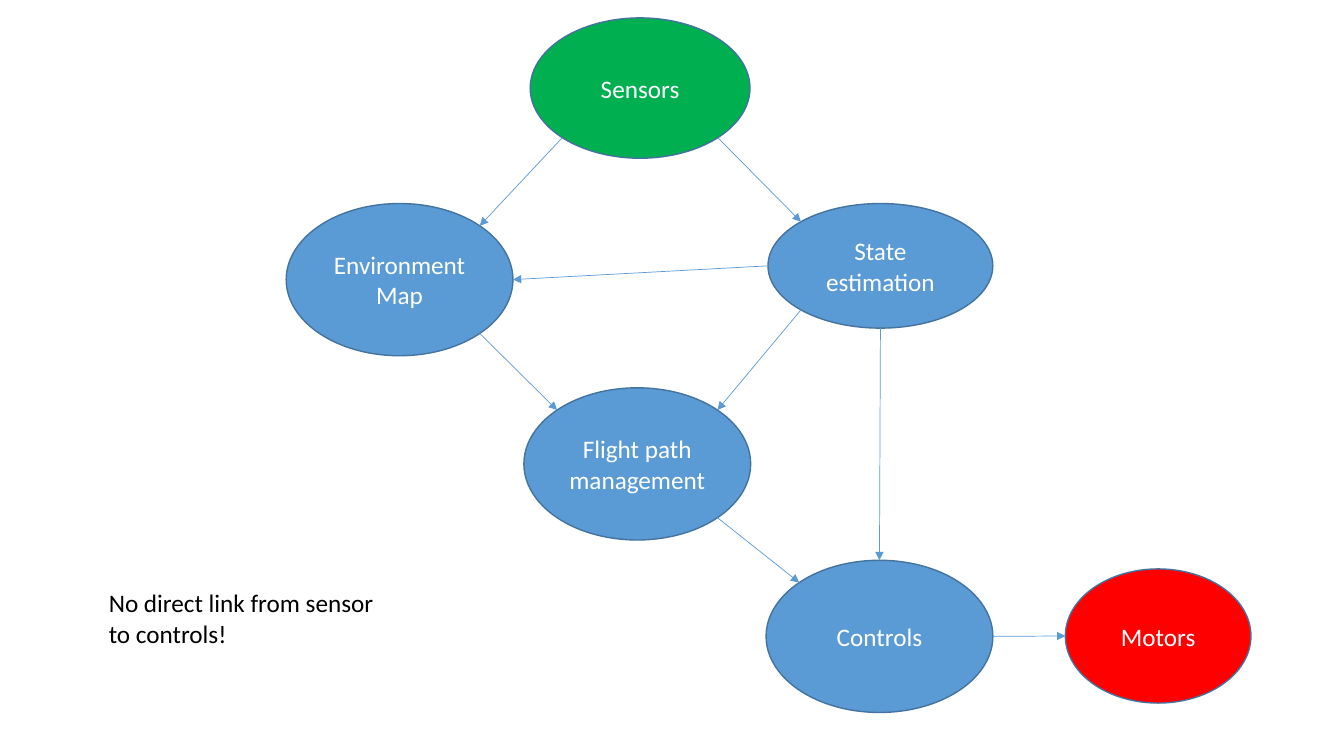
from dataclasses import dataclass
from enum import IntEnum
from math import sqrt

from lxml import etree
from pptx import Presentation
from pptx.dml.color import RGBColor
from pptx.enum.shapes import MSO_CONNECTOR, MSO_SHAPE
from pptx.enum.text import MSO_ANCHOR, PP_ALIGN
from pptx.oxml.ns import qn
from pptx.util import Pt

ELLIPSE = MSO_SHAPE.OVAL
STRAIGHT = MSO_CONNECTOR.STRAIGHT
MIDDLE = MSO_ANCHOR.MIDDLE
CENTER = PP_ALIGN.CENTER

BLUE = RGBColor(0x5B, 0x9B, 0xD5)
DARK_BLUE = RGBColor(0x43, 0x73, 0x9E)
GREEN = RGBColor(0x00, 0xB0, 0x50)
RED = RGBColor(0xFF, 0x00, 0x00)
WHITE = RGBColor(0xFF, 0xFF, 0xFF)
BLACK = RGBColor(0x00, 0x00, 0x00)

FONT = "Calibri"
TEXT_SIZE = 18
DIAGONAL = sqrt(0.5)


class Site(IntEnum):
    """Connection sites of an ellipse, counter-clockwise from the top."""
    TOP = 0
    TOP_LEFT = 1
    LEFT = 2
    BOTTOM_LEFT = 3
    BOTTOM = 4
    BOTTOM_RIGHT = 5
    RIGHT = 6
    TOP_RIGHT = 7


DIRECTIONS = {
    Site.TOP: (0, -1),
    Site.TOP_LEFT: (-DIAGONAL, -DIAGONAL),
    Site.LEFT: (-1, 0),
    Site.BOTTOM_LEFT: (-DIAGONAL, DIAGONAL),
    Site.BOTTOM: (0, 1),
    Site.BOTTOM_RIGHT: (DIAGONAL, DIAGONAL),
    Site.RIGHT: (1, 0),
    Site.TOP_RIGHT: (DIAGONAL, -DIAGONAL),
}


@dataclass(frozen=True)
class Node:
    label: str
    left: float
    top: float
    width: float = 162
    height: float = 108.7
    fill: RGBColor = BLUE

    def site_position(self, site: Site) -> tuple[float, float]:
        across, down = DIRECTIONS[site]
        return (self.left + self.width * (1 + across) / 2,
                self.top + self.height * (1 + down) / 2)


@dataclass(frozen=True)
class Link:
    source: Node
    source_site: Site
    target: Node
    target_site: Site


SENSORS = Node("Sensors", 378.7, 12.8, 157, 100.2, GREEN)
ENVIRONMENT = Node("Environment Map", 204.4, 145.4)
STATE = Node("State estimation", 548.6, 145.4, 160.6, 89)
FLIGHT_PATH = Node("Flight path management", 374.2, 277)
CONTROLS = Node("Controls", 547.2, 400.2)
MOTORS = Node("Motors", 761, 406.4, 132.6, 95.8, RED)

NODES = [ENVIRONMENT, FLIGHT_PATH, CONTROLS, STATE, SENSORS, MOTORS]
LINKS = [
    Link(ENVIRONMENT, Site.BOTTOM_RIGHT, FLIGHT_PATH, Site.TOP_LEFT),
    Link(FLIGHT_PATH, Site.BOTTOM_RIGHT, CONTROLS, Site.TOP_LEFT),
    Link(STATE, Site.LEFT, ENVIRONMENT, Site.RIGHT),
    Link(STATE, Site.BOTTOM_LEFT, FLIGHT_PATH, Site.TOP_RIGHT),
    Link(STATE, Site.BOTTOM, CONTROLS, Site.TOP),
    Link(SENSORS, Site.BOTTOM_LEFT, ENVIRONMENT, Site.TOP_RIGHT),
    Link(SENSORS, Site.BOTTOM_RIGHT, STATE, Site.TOP_LEFT),
    Link(CONTROLS, Site.RIGHT, MOTORS, Site.LEFT),
]


def write_text(box, text: str, color: RGBColor) -> None:
    box.text_frame.word_wrap = True
    para = box.text_frame.paragraphs[0]
    para.text = text
    para.font.name = FONT
    para.font.size = Pt(TEXT_SIZE)
    para.font.color.rgb = color


def draw_node(page, node: Node) -> int:
    """Draw the ellipse and return its shape id."""
    ellipse = page.shapes.add_shape(ELLIPSE, Pt(node.left), Pt(node.top),
                                    Pt(node.width), Pt(node.height))
    ellipse.shadow.inherit = False
    ellipse.fill.solid()
    ellipse.fill.fore_color.rgb = node.fill
    ellipse.line.color.rgb = DARK_BLUE
    ellipse.line.width = Pt(1)
    write_text(ellipse, node.label, WHITE)
    ellipse.text_frame.vertical_anchor = MIDDLE
    ellipse.text_frame.paragraphs[0].alignment = CENTER
    return ellipse.shape_id


def draw_link(page, link: Link, shape_ids: dict[Node, int]) -> None:
    """Draw an arrow glued to both ellipses, whose eight sites need XML."""
    start = link.source.site_position(link.source_site)
    end = link.target.site_position(link.target_site)
    arrow = page.shapes.add_connector(STRAIGHT, *map(Pt, start + end))
    arrow.line.color.rgb = BLUE
    arrow.line.width = Pt(0.5)
    etree.SubElement(arrow.line._get_or_add_ln(), qn("a:tailEnd"), type="triangle")
    etree.SubElement(arrow._element.spPr, qn("a:effectLst"))
    glue = arrow._element.find(".//" + qn("p:cNvCxnSpPr"))
    for tag, node, site in (("a:stCxn", link.source, link.source_site),
                            ("a:endCxn", link.target, link.target_site)):
        etree.SubElement(glue, qn(tag), id=str(shape_ids[node]), idx=str(site.value))


def main() -> None:
    deck = Presentation()
    deck.slide_width, deck.slide_height = Pt(960), Pt(540)
    page = deck.slides.add_slide(deck.slide_layouts[6])

    shape_ids = {node: draw_node(page, node) for node in NODES}
    for link in LINKS:
        draw_link(page, link, shape_ids)

    remark = page.shapes.add_textbox(Pt(70.6), Pt(416.2), Pt(205.2), Pt(51))
    write_text(remark, "No direct link from sensor to controls!", BLACK)

    deck.save("out.pptx")


if __name__ == "__main__":
    main()
